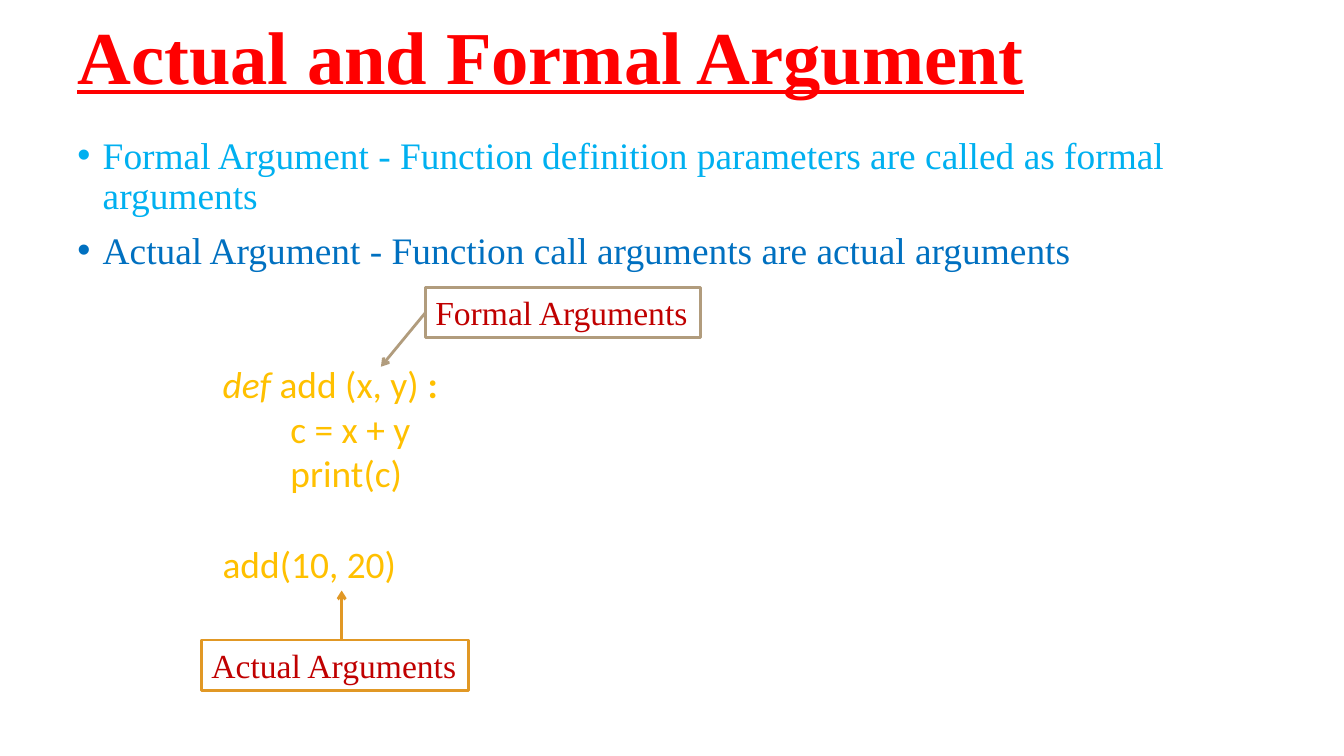
from lxml.etree import SubElement
from pptx import Presentation
from pptx.dml.color import RGBColor
from pptx.enum.shapes import MSO_CONNECTOR as Connector, MSO_SHAPE as Preset
from pptx.enum.text import MSO_ANCHOR as Anchor, PP_ALIGN as Align
from pptx.oxml.ns import qn
from pptx.util import Cm, Pt

SERIF = "Times New Roman"
SANS = "Calibri"
CODE_INDENT = 1.71


def color(hex_string):
    return RGBColor.from_string(hex_string)


def add_run(paragraph, text, size=26.7, font=SERIF, fill="000000", **styles):
    run = paragraph.add_run()
    run.text = text
    run.font.size = Pt(size)
    run.font.name = font
    run.font.color.rgb = color(fill)
    for style, value in styles.items():
        setattr(run.font, style, value)


def add_frame(slide, box, anchor=Anchor.TOP):
    frame = slide.shapes.add_textbox(*map(Cm, box)).text_frame
    frame.word_wrap = True
    frame.vertical_anchor = anchor
    return frame


def next_paragraph(frame, index):
    return frame.add_paragraph() if index else frame.paragraphs[0]


def add_bullet(paragraph, indent):
    properties = paragraph._p.get_or_add_pPr()
    properties.set("marL", str(Cm(indent)))
    properties.set("indent", str(-Cm(indent)))
    SubElement(properties, qn("a:buFont"), typeface="Arial")
    SubElement(properties, qn("a:buChar"), char="•")


def add_title(slide, box):
    paragraph = add_frame(slide, box, Anchor.MIDDLE).paragraphs[0]
    paragraph.line_spacing = 0.9
    add_run(paragraph, "Actual and Formal Argument", size=53.3,
            fill="FF0000", bold=True, underline=True)


def add_definitions(slide, box, definitions):
    frame = add_frame(slide, box)
    for index, (text, fill) in enumerate(definitions):
        paragraph = next_paragraph(frame, index)
        paragraph.line_spacing = 0.9
        paragraph.space_before = Pt(10)
        add_bullet(paragraph, 0.64)
        add_run(paragraph, text, fill=fill)


def add_code(slide, box, lines):
    frame = add_frame(slide, box)
    for index, (indent, space_before, runs) in enumerate(lines):
        paragraph = next_paragraph(frame, index)
        paragraph.space_before = Pt(space_before)
        paragraph._p.get_or_add_pPr().set("marL", str(Cm(indent)))
        for text, styles in runs:
            add_run(paragraph, text, font=SANS, fill="FFC000", **styles)


def add_callout(slide, box, text, line_fill, start, end):
    """Label box with an arrow; start and end are offsets from its corner."""
    left, top, width, height = box
    label = slide.shapes.add_shape(Preset.RECTANGLE, *map(Cm, box))
    label.shadow.inherit = False
    label.fill.solid()
    label.fill.fore_color.rgb = color("FFFFFF")
    frame = label.text_frame
    frame.word_wrap = False
    frame.vertical_anchor = Anchor.TOP
    frame.paragraphs[0].alignment = Align.LEFT
    add_run(frame.paragraphs[0], text, size=24, fill="C00000")

    # Arrow from the label to the code
    arrow = slide.shapes.add_connector(
        Connector.STRAIGHT,
        Cm(left + start[0]), Cm(top + start[1]),
        Cm(left + end[0]), Cm(top + end[1]))
    for shape in (label, arrow):
        shape.line.color.rgb = color(line_fill)
        shape.line.width = Pt(2)
    SubElement(arrow.line._get_or_add_ln(), qn("a:tailEnd"), type="arrow")
    SubElement(arrow._element.spPr, qn("a:effectLst"))


def build_arguments_slide(presentation):
    slide = presentation.slides.add_slide(presentation.slide_layouts[6])

    # Heading and definitions
    add_title(slide, (1.7, -0.08, 30.48, 3.18))
    add_definitions(slide, (1.7, 3.33, 30.48, 12.57), [
        ("Formal Argument - Function definition parameters are called as "
         "formal arguments", "00B0F0"),
        ("Actual Argument - Function call arguments are actual arguments",
         "0070C0"),
    ])

    # Code example: indent, space before, runs
    add_code(slide, (5.36, 8.97, 10.44, 5.97), [
        (0, 0, [("def", {"italic": True}), (" add (x, y) ", {}),
                (":", {"bold": True})]),
        (CODE_INDENT, 0, [("c = x + y", {})]),
        (CODE_INDENT, 0, [("print(c)", {})]),
        (0, 32.5, [("add(10, 20)", {})]),
    ])

    # Callouts
    add_callout(slide, (10.72, 7.24, 6.93, 1.27), "Formal Arguments",
                "B19C7D", start=(0, 0.64), end=(-1.12, 2))
    add_callout(slide, (5.08, 16.13, 6.73, 1.27), "Actual Arguments",
                "E19825", start=(3.53, 0), end=(3.53, -1.25))


presentation = Presentation()
presentation.slide_width = Cm(33.87)
presentation.slide_height = Cm(19.05)
build_arguments_slide(presentation)
presentation.save("out.pptx")
